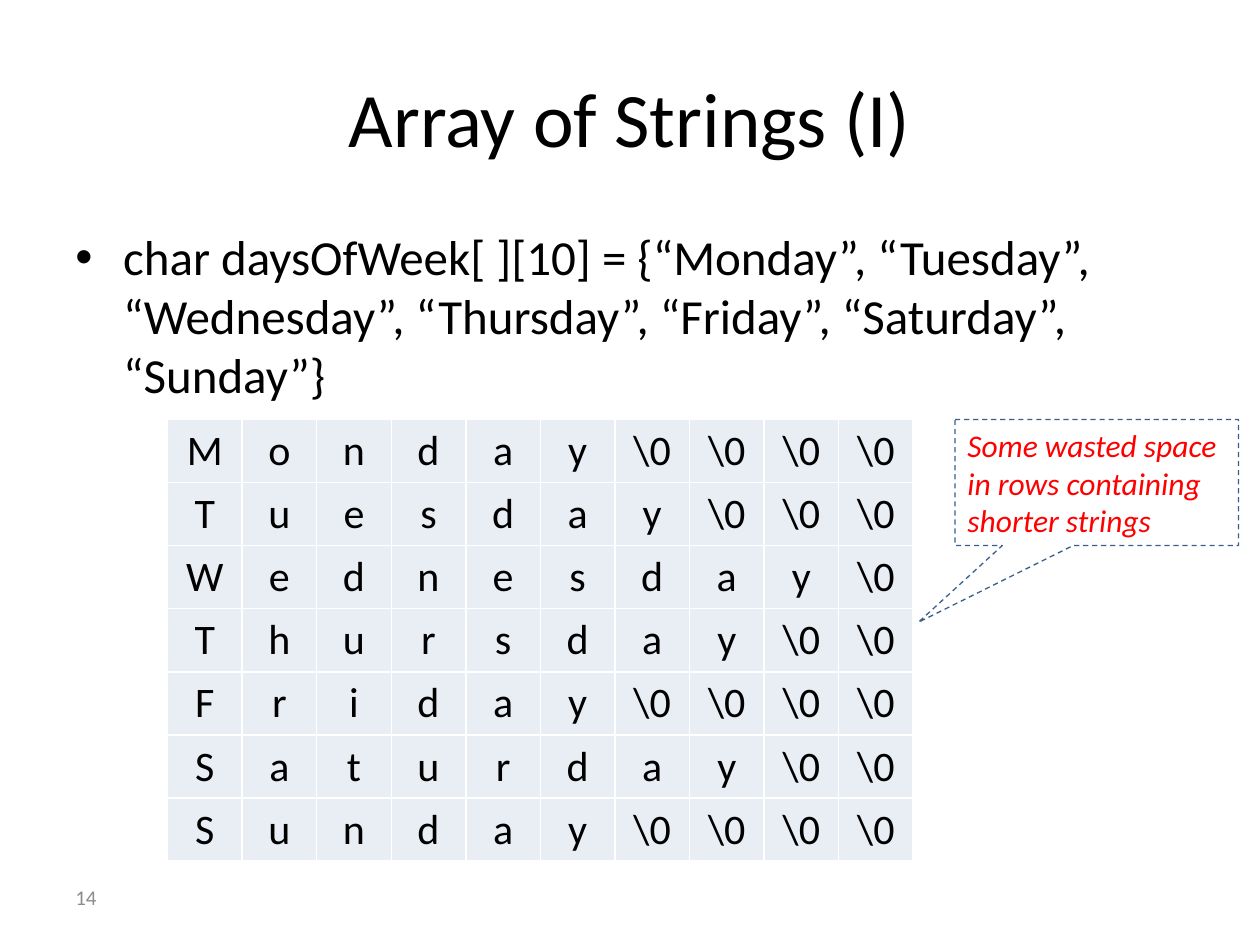
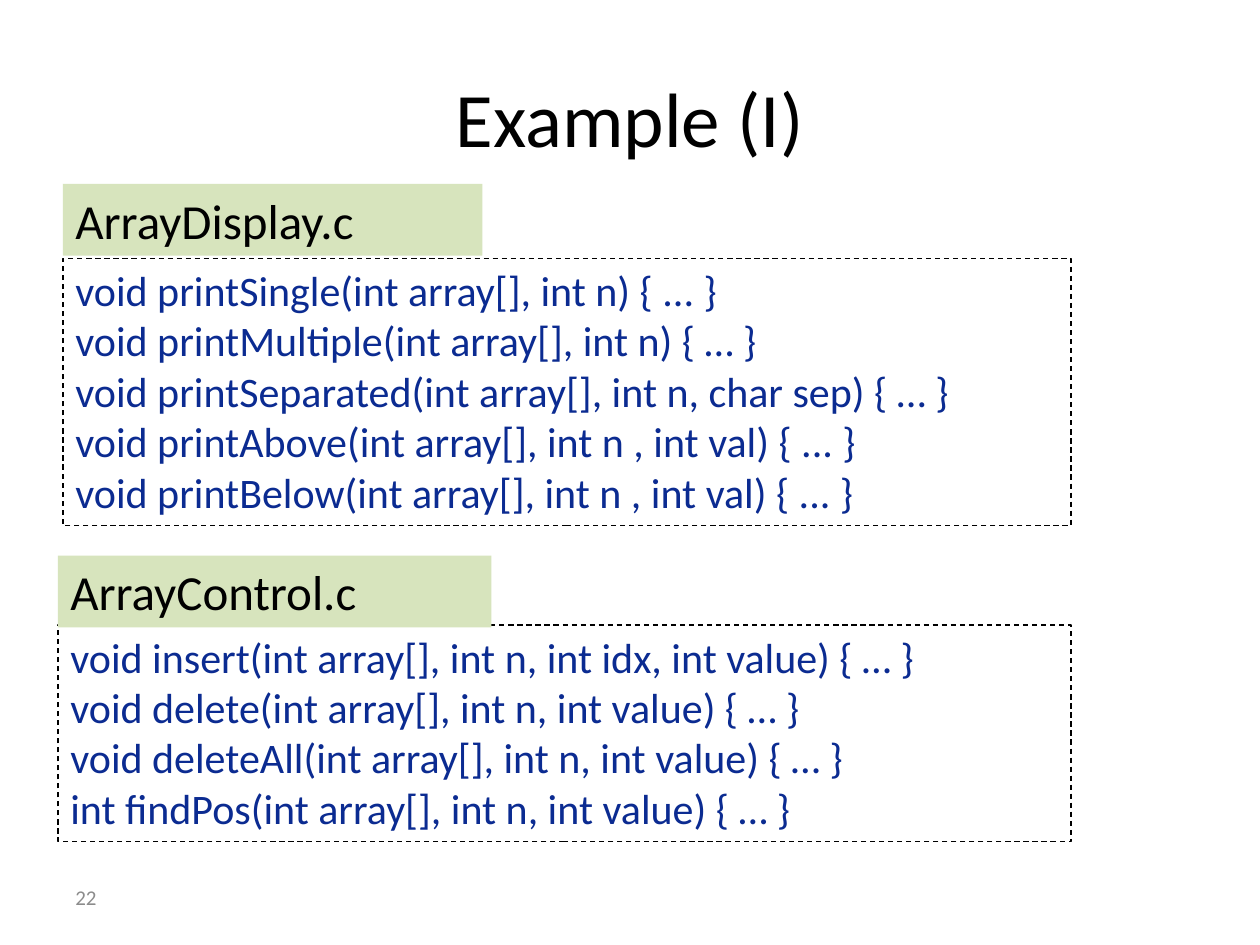
from pptx import Presentation
from pptx.dml.color import RGBColor
from pptx.enum.dml import MSO_LINE
from pptx.enum.shapes import MSO_SHAPE
from pptx.enum.text import MSO_ANCHOR, PP_ALIGN
from pptx.oxml.ns import qn
from pptx.util import Inches, Pt
from lxml import etree

RECTANGLE = MSO_SHAPE.RECTANGLE
CALLOUT = MSO_SHAPE.RECTANGULAR_CALLOUT
DASH = MSO_LINE.DASH
TOP, MIDDLE = MSO_ANCHOR.TOP, MSO_ANCHOR.MIDDLE
LEFT, CENTER = PP_ALIGN.LEFT, PP_ALIGN.CENTER
TITLE_ONLY = 5

FONT = "Calibri"
COLORS = {
    "text": "000000",
    "number": "8C8C8C",
    "cell": "E9EDF4",
    "border": "FFFFFF",
    "callout": "3A5F8C",
    "remark": "FF0000",
    "code": "0B2B91",
    "file": "D7E4BD",
}

DAYS = ["Monday", "Tuesday", "Wednesday", "Thursday", "Friday", "Saturday", "Sunday"]
STRING_SIZE = 10
DISPLAY_CODE = [
    "void printSingle(int array[], int n) { ... }",
    "void printMultiple(int array[], int n) { … }",
    "void printSeparated(int array[], int n, char sep) { … }",
    "void printAbove(int array[], int n , int val) { ... }",
    "void printBelow(int array[], int n , int val) { ... }",
]
CONTROL_CODE = [
    "void insert(int array[], int n, int idx, int value) { … }",
    "void delete(int array[], int n, int value) { … }",
    "void deleteAll(int array[], int n, int value) { … }",
    "int findPos(int array[], int n, int value) { … }",
]


def color(name):
    return RGBColor.from_string(COLORS[name])


class Deck:
    def __init__(self):
        self.presentation = Presentation()
        self.presentation.slide_width = Inches(10)
        self.presentation.slide_height = Inches(7.5)
        self.slide = None

    def set_text(self, text_frame, lines, size, color_name="text", align=LEFT, anchor=TOP, italic=False):
        text_frame.word_wrap = True
        text_frame.vertical_anchor = anchor
        text_frame.text = "\n".join(lines)
        for paragraph in text_frame.paragraphs:
            paragraph.alignment = align
            for run in paragraph.runs:
                run.font.name = FONT
                run.font.size = Pt(size)
                run.font.italic = italic
                run.font.color.rgb = color(color_name)

    def add_slide(self, title, number):
        layout = self.presentation.slide_layouts[TITLE_ONLY]
        self.slide = self.presentation.slides.add_slide(layout)
        shape = self.slide.shapes.title
        shape.left, shape.top = Inches(0.5), Inches(0.3)
        shape.width, shape.height = Inches(9), Inches(1.25)
        self.set_text(shape.text_frame, [title], 44, align=CENTER, anchor=MIDDLE)
        self.text((0.5, 6.92, 2.33, 0.4), number, 12, "number", MIDDLE)

    def text(self, box, line, size, color_name="text", anchor=TOP):
        shape = self.slide.shapes.add_textbox(*map(Inches, box))
        self.set_text(shape.text_frame, [line], size, color_name, anchor=anchor)
        return shape

    def bullet(self, box, line, size):
        paragraph = self.text(box, line, size).text_frame.paragraphs[0]
        properties = paragraph._p.get_or_add_pPr()
        properties.set("marL", str(Inches(0.38)))
        properties.set("indent", str(Inches(-0.38)))
        etree.SubElement(properties, qn("a:buFont"), typeface="Arial")
        etree.SubElement(properties, qn("a:buChar"), char="•")

    def panel(self, box, lines, size, color_name="text", fill=None, line=None,
              kind=RECTANGLE, anchor=TOP, italic=False):
        shape = self.slide.shapes.add_shape(kind, *map(Inches, box))
        shape.shadow.inherit = False
        if fill:
            shape.fill.solid()
            shape.fill.fore_color.rgb = color(fill)
        else:
            shape.fill.background()
        if line:
            shape.line.color.rgb = color(line)
            shape.line.width = Pt(0.75)
            shape.line.dash_style = DASH
        else:
            shape.line.fill.background()
        self.set_text(shape.text_frame, lines, size, color_name, anchor=anchor, italic=italic)
        return shape

    def callout(self, box, line, tip):
        shape = self.panel(box, [line], 18, "remark", line="callout",
                           kind=CALLOUT, anchor=MIDDLE, italic=True)
        shape.adjustments[0], shape.adjustments[1] = tip

    def code_file(self, file_box, file_name, code_box, code):
        self.panel(code_box, code, 24, "code", line="text")
        self.panel(file_box, [file_name], 28, fill="file")

    def table(self, box, rows):
        frame = self.slide.shapes.add_table(len(rows), len(rows[0]), *map(Inches, box))
        table = frame.table
        table.first_row = table.horz_banding = False
        for row_index, row in enumerate(rows):
            for column_index, value in enumerate(row):
                cell = table.cell(row_index, column_index)
                self.set_text(cell.text_frame, [value], 24, align=CENTER)
                self.border(cell)
                cell.fill.solid()
                cell.fill.fore_color.rgb = color("cell")

    def border(self, cell):
        properties = cell._tc.get_or_add_tcPr()
        for side in ("lnL", "lnR", "lnT", "lnB"):
            line = etree.SubElement(properties, qn("a:" + side), w=str(Pt(1)))
            fill = etree.SubElement(line, qn("a:solidFill"))
            etree.SubElement(fill, qn("a:srgbClr"), val=COLORS["border"])


def main():
    deck = Deck()

    deck.add_slide("Array of Strings (I)", "14")
    quoted_days = ", ".join(f"“{day}”" for day in DAYS)
    deck.bullet((0.5, 1.75, 9, 4.95), f"char daysOfWeek[ ][{STRING_SIZE}] = {{{quoted_days}}}", 28)
    rows = [list(day) + ["\\0"] * (STRING_SIZE - len(day)) for day in DAYS]
    deck.table((1.33, 3.33, 5.92, 3.5), rows)
    deck.callout((7.58, 3.33, 2.25, 1),
                 "Some wasted space in rows containing shorter strings", (-0.63, 1.11))

    deck.add_slide("Example (I)", "22")
    deck.code_file((0.5, 1.46, 3.33, 0.57), "ArrayDisplay.c", (0.5, 2.05, 8, 2.12), DISPLAY_CODE)
    deck.code_file((0.46, 4.41, 3.44, 0.57), "ArrayControl.c", (0.46, 4.96, 8.04, 1.72), CONTROL_CODE)

    deck.presentation.save("out.pptx")


if __name__ == "__main__":
    main()
